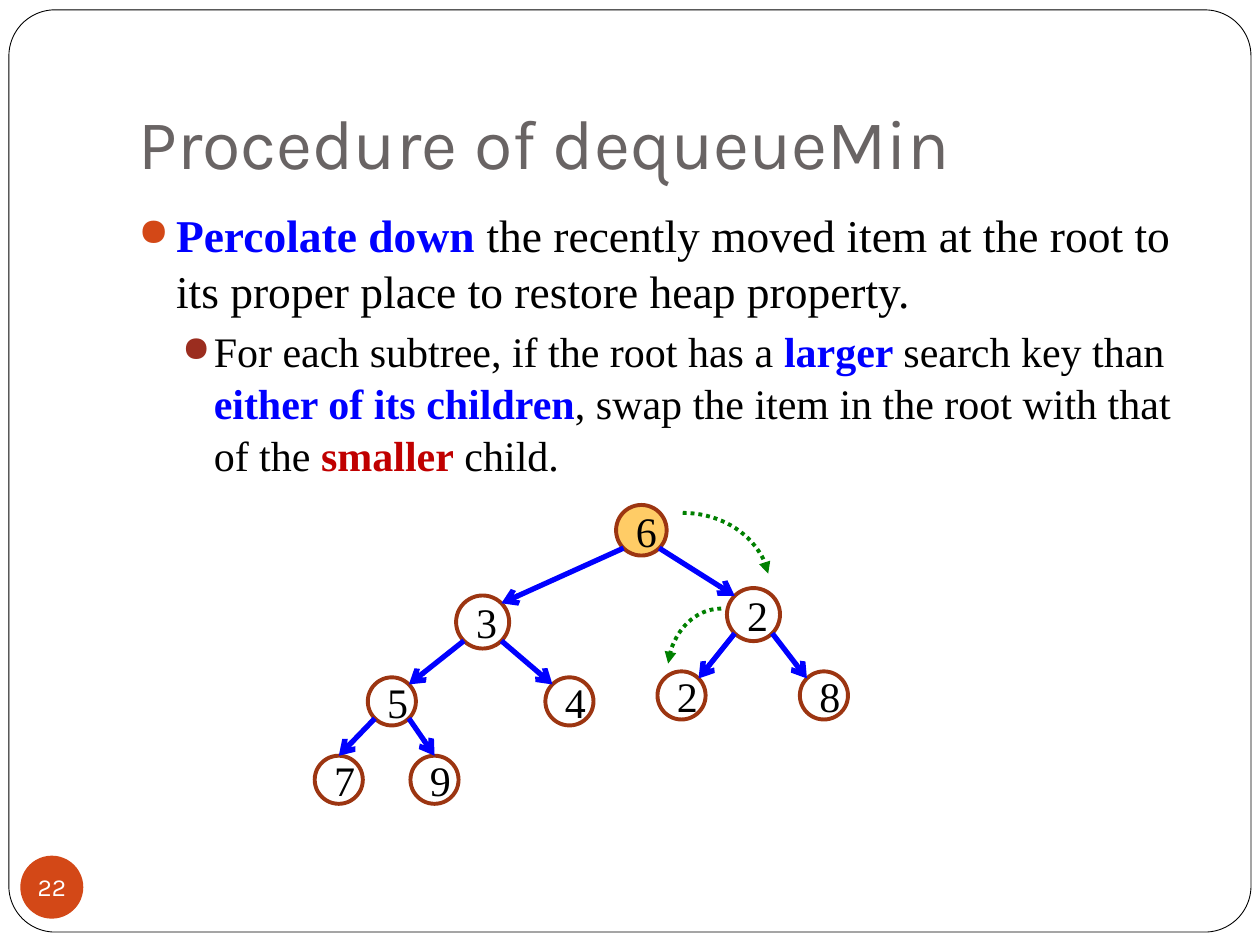
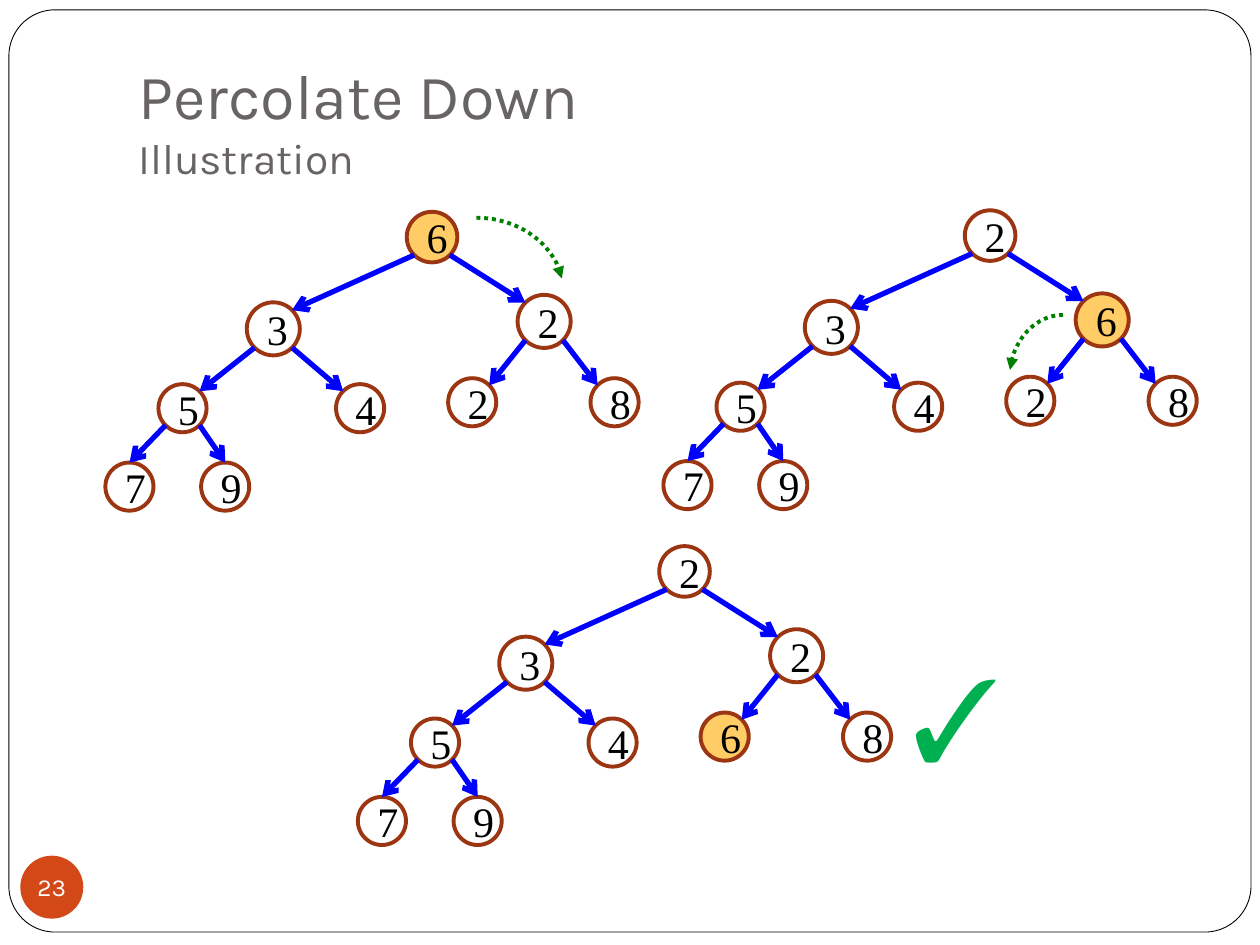
import dataclasses
import math

import lxml.etree
import pptx
import pptx.dml.color
import pptx.enum.dml
import pptx.enum.shapes
import pptx.enum.text
import pptx.oxml.ns
import pptx.util

Cm = pptx.util.Cm
SHAPE = pptx.enum.shapes.MSO_SHAPE
NODE_OFFSETS = [(0, 0), (-3.2, 1.85), (2.26, 1.7), (-5.03, 3.45), (-1.45, 3.45),
                (0.81, 3.33), (3.68, 3.33), (-6.1, 5.03), (-4.17, 5.03)]
LEVEL_DIAMETERS = [1.02, 1.07, 0.97, 0.97]
LAST_LEVEL = 3


@dataclasses.dataclass(frozen=True)
class Theme:
    heading_font: str = "Karla"
    body_font: str = "Times New Roman"
    white: str = "FFFFFF"
    black: str = "000000"
    title: str = "696464"
    badge: str = "D34817"
    bullets: tuple = ("D34817", "9B2D1F")
    key: str = "0000FF"
    warn: str = "C00000"
    node_line: str = "9C3511"
    node_mark: str = "FFCC66"
    swap: str = "008000"
    check: str = "00B050"
    title_size: float = 40
    split_title_size: float = 36
    subtitle_size: float = 24.3
    body_sizes: tuple = (26, 24)
    node_size: float = 24
    badge_size: float = 14
    check_size: float = 66


def rgb(color):
    return pptx.dml.color.RGBColor.from_string(color)


def add_xml(parent, tag, **attrs):
    e = lxml.etree.SubElement(parent, pptx.oxml.ns.qn(tag))
    for name, value in attrs.items():
        e.set(name, str(value))
    return e


def level_of(i):
    return int(math.log2(i + 1))


class Deck:
    def __init__(self, theme):
        self.theme = theme
        self.prs = pptx.Presentation()
        self.prs.slide_width, self.prs.slide_height = Cm(25.4), Cm(19.05)
        self.s = None

    def font(self, font, size, color, name=None, bold=False):
        font.name = name or self.theme.body_font
        font.size = pptx.util.Pt(size)
        font.color.rgb = rgb(color)
        font.bold = bold

    def shape(self, shapes, kind, x, y, w, h, fill=None, line=None, width=2.25):
        sp = shapes.add_shape(kind, Cm(x), Cm(y), Cm(w), Cm(h))
        sp.shadow.inherit = False
        if fill:
            sp.fill.solid()
            sp.fill.fore_color.rgb = rgb(fill)
        else:
            sp.fill.background()
        if line:
            sp.line.color.rgb = rgb(line)
            sp.line.width = pptx.util.Pt(width)
        else:
            sp.line.fill.background()
        return sp

    def label(self, sp, text, size, color, name=None):
        tf = sp.text_frame
        tf.vertical_anchor = pptx.enum.text.MSO_ANCHOR.MIDDLE
        p = tf.paragraphs[0]
        p.text = str(text)
        p.alignment = pptx.enum.text.PP_ALIGN.CENTER
        self.font(p.font, size, color, name)
        return tf

    def slide(self, number, title, subtitle=None):
        t = self.theme
        self.s = self.prs.slides.add_slide(self.prs.slide_layouts[5])
        frame = self.shape(self.s.shapes, SHAPE.ROUNDED_RECTANGLE,
                           0.18, 0.2, 25.04, 18.59, t.white, t.black, 0.5)
        frame.adjustments[0] = 0.05
        self.s.shapes.title._element.addprevious(frame._element)
        self.title(title, subtitle)
        badge = self.shape(self.s.shapes, SHAPE.OVAL, 0.41, 17.25, 1.27, 1.27, t.badge)
        tf = self.label(badge, number, t.badge_size, t.white, t.heading_font)
        tf.margin_left = tf.margin_right = tf.margin_top = tf.margin_bottom = 0
        tf.word_wrap = False

    def title(self, title, subtitle):
        t = self.theme
        sp = self.s.shapes.title
        sp.left, sp.top, sp.width, sp.height = Cm(2.54), Cm(0.76), Cm(21.59), Cm(3.18)
        tf = sp.text_frame
        tf.auto_size = pptx.enum.text.MSO_AUTO_SIZE.NONE
        tf.vertical_anchor = pptx.enum.text.MSO_ANCHOR.BOTTOM
        tf.margin_left = tf.margin_right = tf.margin_bottom = Cm(0.25)
        tf.margin_top = Cm(0.13)
        p = tf.paragraphs[0]
        p.alignment = pptx.enum.text.PP_ALIGN.LEFT
        size = t.split_title_size if subtitle else t.title_size
        self.font(p.font, size, t.title, t.heading_font)
        p.add_run().text = title
        if subtitle:
            p.add_line_break()
            r = p.add_run()
            r.text = subtitle
            r.font.size = pptx.util.Pt(t.subtitle_size)

    def textbox(self, x, y, w, h, wrap=True):
        tf = self.s.shapes.add_textbox(Cm(x), Cm(y), Cm(w), Cm(h)).text_frame
        tf.word_wrap = wrap
        return tf

    def bullet(self, p, level, indent, hanging, space, runs):
        t = self.theme
        p.level = level
        p.space_before = pptx.util.Pt(space)
        p.line_spacing = 1.03
        pPr = p._p.get_or_add_pPr()
        pPr.set("marL", str(Cm(indent)))
        pPr.set("indent", str(-Cm(hanging)))
        add_xml(add_xml(pPr, "a:buClr"), "a:srgbClr", val=t.bullets[level])
        add_xml(pPr, "a:buSzPct", val=85000)
        add_xml(pPr, "a:buChar", char="●")
        for text, color in runs:
            r = p.add_run()
            r.text = text
            self.font(r.font, t.body_sizes[level], color or t.black, bold=bool(color))

    def arrow(self, shapes, x1, y1, x2, y2):
        line = shapes.add_connector(pptx.enum.shapes.MSO_CONNECTOR.STRAIGHT,
                                    Cm(x1), Cm(y1), Cm(x2), Cm(y2))
        line.line.color.rgb = rgb(self.theme.key)
        line.line.width = pptx.util.Pt(3)
        add_xml(line.line._get_or_add_ln(), "a:tailEnd", type="arrow")
        add_xml(line._element.spPr, "a:effectLst")

    def heap(self, root_x, root_y, keys, marked):
        t = self.theme
        shapes = self.s.shapes.add_group_shape().shapes
        centers = [(root_x + dx, root_y + dy) for dx, dy in NODE_OFFSETS]
        for i, (key, (x, y)) in enumerate(zip(keys, centers)):
            d = LEVEL_DIAMETERS[level_of(i)]
            node = self.shape(shapes, SHAPE.OVAL, x - d / 2, y - d / 2, d, d,
                              t.node_mark if i == marked else None, t.node_line)
            self.label(node, key, t.node_size, t.black)
            if i:
                self.edge(shapes, centers, (i - 1) // 2, i)

    def edge(self, shapes, centers, parent, child):
        (px, py), (cx, cy) = centers[parent], centers[child]
        side = -1 if child % 2 else 1
        start = LEVEL_DIAMETERS[level_of(parent)] / 2 * math.sqrt(0.5)
        radius = LEVEL_DIAMETERS[level_of(child)] / 2
        end = radius * math.sqrt(0.5)
        if level_of(child) == LAST_LEVEL:
            tip = (cx, cy - radius)
        else:
            tip = (cx - side * end, cy - end)
        self.arrow(shapes, px + side * start, py + start, *tip)

    def swap(self, x, y, w, h, flip=False):
        arc = self.shape(self.s.shapes, SHAPE.ARC, x, y, w, h, line=self.theme.swap)
        arc.adjustments[0], arc.adjustments[1] = 162, 210.36
        arc.line.dash_style = pptx.enum.dml.MSO_LINE.ROUND_DOT
        add_xml(arc.line._get_or_add_ln(), "a:tailEnd", type="triangle")
        if flip:
            arc._element.spPr.find(pptx.oxml.ns.qn("a:xfrm")).set("flipH", "1")

    def swap_right(self, x, y):
        self.swap(x, y, 3.51, 3.02)

    def swap_left(self, x, y):
        self.swap(x, y, 2.16, 2.57, flip=True)

    def check(self, x, y):
        p = self.textbox(x, y, 2.36, 3.07, wrap=False).paragraphs[0]
        p.text = "✓"
        self.font(p.font, self.theme.check_size, self.theme.check)


def procedure_slide(deck):
    t = deck.theme
    deck.slide(22, "Procedure of dequeueMin")
    tf = deck.textbox(2.54, 4.01, 21.59, 12.7)
    deck.bullet(tf.paragraphs[0], 0, 0.76, 0.76, 5.8, [
        ("Percolate down ", t.key),
        ("the recently moved item at the root to its proper place "
         "to restore heap property.", None)])
    deck.bullet(tf.add_paragraph(), 1, 1.52, 0.64, 3.7, [
        ("For each subtree, if the root has a ", None),
        ("larger ", t.key),
        ("search key than ", None),
        ("either of its children", t.key),
        (", swap the item in the root with that of the ", None),
        ("smaller", t.warn),
        (" child.", None)])
    deck.heap(12.93, 10.69, [6, 3, 2, 5, 4, 2, 8, 7, 9], marked=0)
    deck.swap_right(12.01, 10.34)
    deck.swap_left(13.46, 12.27)


def illustration_slide(deck):
    deck.slide(23, "Percolate Down", "Illustration")
    deck.heap(8.71, 4.78, [6, 3, 2, 5, 4, 2, 8, 7, 9], marked=0)
    deck.swap_right(7.85, 4.39)
    deck.heap(19.96, 4.75, [2, 3, 6, 5, 4, 2, 8, 7, 9], marked=2)
    deck.swap_left(20.35, 6.35)
    deck.heap(13.8, 11.52, [2, 3, 2, 5, 4, 6, 8, 7, 9], marked=5)
    deck.check(18.14, 12.9)


def main():
    deck = Deck(Theme())
    procedure_slide(deck)
    illustration_slide(deck)
    deck.prs.save("out.pptx")


if __name__ == "__main__":
    main()
